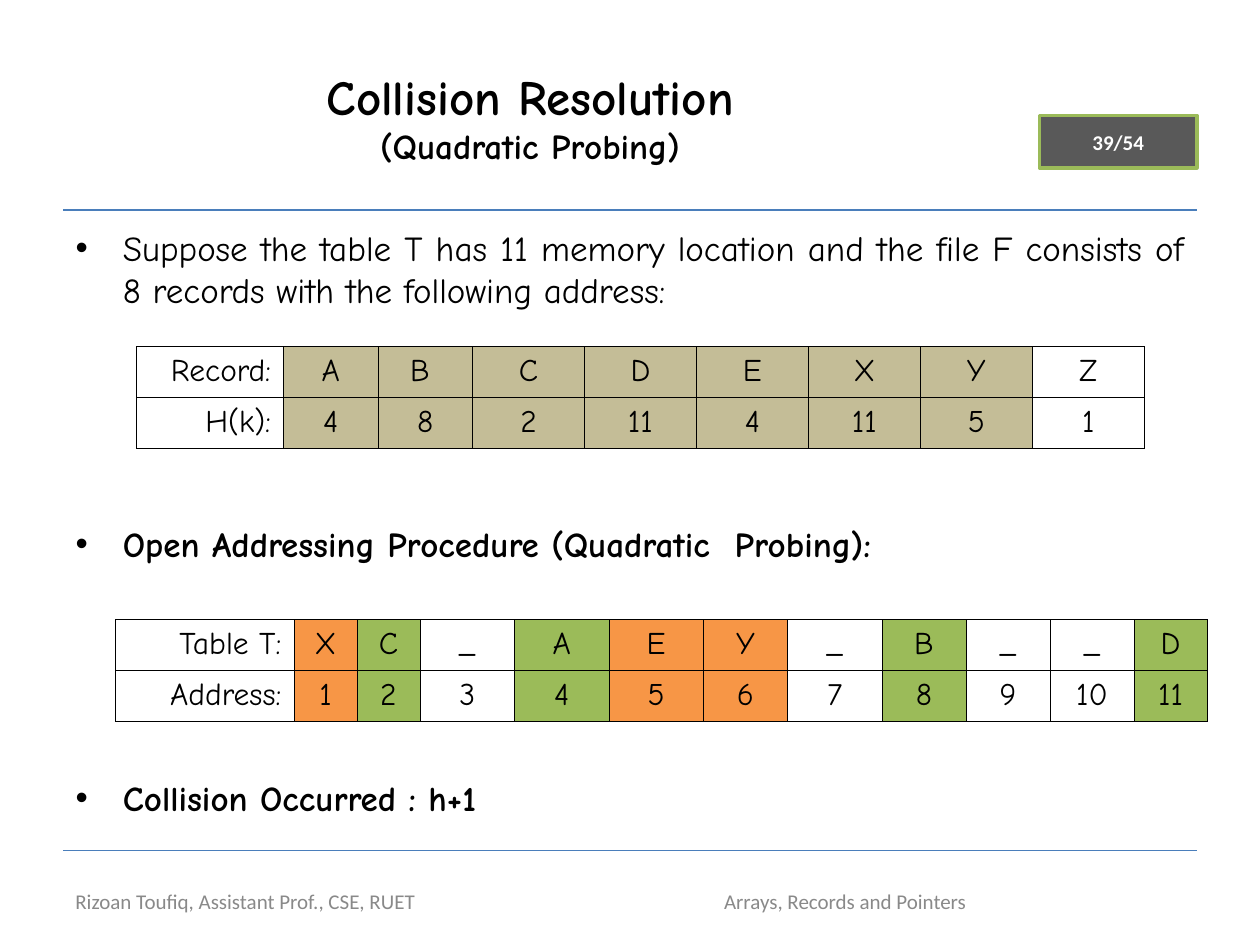
"""Build the quadratic probing slide with its two hash tables."""
from lxml import etree
from pptx import Presentation
from pptx.dml.color import RGBColor
from pptx.enum import shapes, text
from pptx.oxml import ns
from pptx.util import Pt

HAND, SANS = "Comic Neue", "Calibri"
BLACK, GREY, BLUE = "000000", "898989", "4A7EBB"
TAN, GREEN, ORANGE = "C4BD97", "9BBB59", "F79646"
LEFT, CENTER, RIGHT, JUSTIFY = (
    text.PP_ALIGN.LEFT, text.PP_ALIGN.CENTER, text.PP_ALIGN.RIGHT, text.PP_ALIGN.JUSTIFY)

TITLE = [("Collision Resolution", 28), ("(Quadratic Probing)", 20)]
BULLETS = [
    ("Suppose the table T has 11 memory location and the file F consists of "
     "8 records with the following address:", False, 5),
    ("Open Addressing Procedure (Quadratic  Probing):", True, 121),
    ("Collision Occurred : h+1", True, 121),
]
PAGE = "39/54"
FOOTERS = [
    ("Rizoan Toufiq, Assistant Prof., CSE, RUET", 36, 318, LEFT),
    ("Arrays, Records and Pointers", 378, 210, CENTER),
]
RULES = [120, 486]
ROW_HEIGHT = 29.2
TABLES = [
    {
        "at": (78, 198),
        "widths": [84, 54, 54] + [64] * 6,
        "rows": [["Record:", "A", "B ", "C", "D", "E", "X", "Y", "Z"],
                 ["H(k):", 4, 8, 2, 11, 4, 11, 5, 1]],
        "fills": [None] + [TAN] * 7 + [None],
    },
    {
        "at": (66, 354),
        "widths": [102, 36, 36, 54, 54, 54, 48, 54, 48, 48, 48, 42],
        "rows": [["Table T:", "X", "C", "_", "A", "E", "Y", "_", "B", "_", "_", "D"],
                 ["Address:", *range(1, 12)]],
        "fills": [None, ORANGE, GREEN, None, GREEN, ORANGE, ORANGE, None, GREEN,
                  None, None, GREEN],
    },
]


def rgb(value):
    return RGBColor.from_string(value)


def assign(obj, **values):
    for name, value in values.items():
        setattr(obj, name, value)


def place(sp, left, top, width, height):
    assign(sp, left=Pt(left), top=Pt(top), width=Pt(width), height=Pt(height))


def add_run(p, content, size, font=HAND, color=BLACK, bold=False):
    r = p.add_run()
    r.text = str(content)
    assign(r.font, name=font, size=Pt(size), bold=bold)
    r.font.color.rgb = rgb(color)


def add_rule(slide, y):
    line = slide.shapes.add_connector(
        shapes.MSO_CONNECTOR.STRAIGHT, Pt(36), Pt(y), Pt(684), Pt(y))
    line.line.color.rgb = rgb(BLUE)
    line.line.width = Pt(0.75)
    etree.SubElement(line._element.spPr, ns.qn("a:effectLst"))


def add_page_box(slide):
    sp = slide.shapes.add_shape(
        shapes.MSO_SHAPE.RECTANGLE, Pt(594), Pt(66), Pt(90), Pt(30))
    sp.shadow.inherit = False
    sp.fill.solid()
    sp.fill.fore_color.rgb = rgb("595959")
    sp.line.color.rgb = rgb(GREEN)
    sp.line.width = Pt(2)
    p = sp.text_frame.paragraphs[0]
    p.alignment = CENTER
    add_run(p, PAGE, 12, SANS, "FFFFFF", True)


def add_title(slide):
    sp = slide.shapes.title
    place(sp, 36, 21.6, 534, 90)
    tf = sp.text_frame
    assign(tf, auto_size=text.MSO_AUTO_SIZE.NONE, vertical_anchor=text.MSO_ANCHOR.MIDDLE)
    p = tf.paragraphs[0]
    p.alignment = CENTER
    for i, (content, size) in enumerate(TITLE):
        if i:
            p.add_line_break()
        add_run(p, content, size, bold=True)


def add_body(slide):
    sp = slide.placeholders[1]
    place(sp, 36, 126, 648, 356.4)
    tf = sp.text_frame
    tf.auto_size = text.MSO_AUTO_SIZE.NONE
    for i, (content, bold, gap) in enumerate(BULLETS):
        p = tf.add_paragraph() if i else tf.paragraphs[0]
        assign(p, alignment=JUSTIFY, space_before=Pt(gap))
        add_run(p, content, 20, bold=bold)


def add_footer(slide, content, left, width, align):
    sp = slide.shapes.add_textbox(Pt(left), Pt(500.4), Pt(width), Pt(28.8))
    tf = sp.text_frame
    assign(tf, word_wrap=True, vertical_anchor=text.MSO_ANCHOR.MIDDLE)
    p = tf.paragraphs[0]
    p.alignment = align
    add_run(p, content, 12, SANS, GREY)


def add_borders(cell):
    tc_pr = cell._tc.get_or_add_tcPr()
    for side in ("lnL", "lnR", "lnT", "lnB"):
        ln = etree.SubElement(tc_pr, ns.qn(f"a:{side}"), w=str(Pt(0.45)))
        fill = etree.SubElement(ln, ns.qn("a:solidFill"))
        etree.SubElement(fill, ns.qn("a:srgbClr"), val=BLACK)


def add_hash_table(slide, at, widths, rows, fills):
    left, top = at
    table = slide.shapes.add_table(
        len(rows), len(widths), Pt(left), Pt(top),
        Pt(sum(widths)), Pt(ROW_HEIGHT * len(rows))).table
    assign(table, first_row=False, horz_banding=False)
    for column, width in zip(table.columns, widths):
        column.width = Pt(width)
    for i, row in enumerate(rows):
        table.rows[i].height = Pt(ROW_HEIGHT)
        for j, (content, fill) in enumerate(zip(row, fills)):
            cell = table.cell(i, j)
            add_borders(cell)
            if fill:
                cell.fill.solid()
                cell.fill.fore_color.rgb = rgb(fill)
            else:
                cell.fill.background()
            p = cell.text_frame.paragraphs[0]
            p.alignment = CENTER if j else RIGHT
            add_run(p, content, 18)


def main():
    prs = Presentation()
    assign(prs, slide_width=Pt(720), slide_height=Pt(540))
    slide = prs.slides.add_slide(prs.slide_layouts[1])
    for y in RULES:
        add_rule(slide, y)
    add_page_box(slide)
    add_title(slide)
    add_body(slide)
    for footer in FOOTERS:
        add_footer(slide, *footer)
    for table in TABLES:
        add_hash_table(slide, **table)
    prs.save("out.pptx")


if __name__ == "__main__":
    main()
